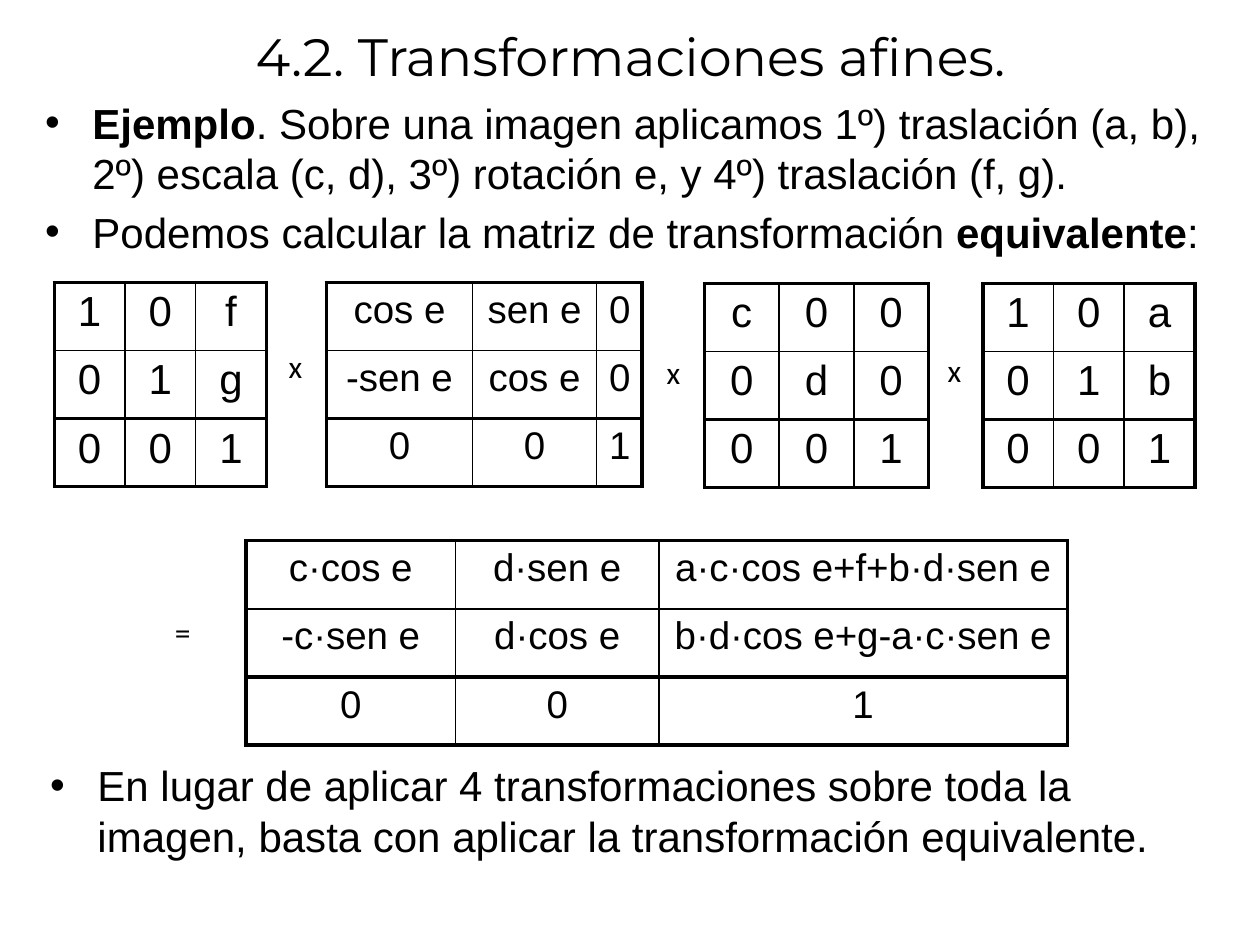
from lxml import etree
from pptx import Presentation
from pptx.dml.color import RGBColor
from pptx.enum.text import MSO_ANCHOR, PP_ALIGN
from pptx.oxml.ns import qn
from pptx.util import Pt

CENTER = PP_ALIGN.CENTER
MIDDLE = MSO_ANCHOR.MIDDLE
COLORS = {"ink": "000000"}
INDENT = 27
ROW_HEIGHT = 38.9
THICK, THIN = 2.25, 1

# left, top, column widths, text size, rows
MATRICES = [
    (31, 161.5, (40.4, 40.4, 40.4), 24, ["1 0 f", "0 1 g", "0 0 1"]),
    (186.5, 161.5, (83.6, 70.8, 26), 22,
     ["cos e|sen e|0", "-sen e|cos e|0", "0|0|1"]),
    (402.5, 162, (42.7, 42.7, 42.7), 24, ["c 0 0", "0 d 0", "0 0 1"]),
    (561.6, 162, (40.4, 40.4, 40.4), 24, ["1 0 a", "0 1 b", "0 0 1"]),
    (140.5, 309, (119.8, 116.2, 233.5), 22,
     ["c·cos e|d·sen e|a·c·cos e+f+b·d·sen e",
      "-c·sen e|d·cos e|b·d·cos e+g-a·c·sen e", "0|0|1"]),
]
OPERATORS = [
    ("x", (152.6, 195, 32.4, 36)),
    ("x", (368.6, 198, 32.4, 36)),
    ("x", (529.2, 197.3, 32.4, 36)),
    ("=", (79.2, 347, 50.4, 36)),
]
STEPS = [
    [("Ejemplo", True),
     (". Sobre una imagen aplicamos 1º) traslación (a, b), "
      "2º) escala (c, d), 3º) rotación e, y 4º) traslación (f, g).", False)],
    [("Podemos calcular la matriz de transformación ", False),
     ("equivalente", True), (":", False)],
]
CONCLUSION = [
    [("En lugar de aplicar 4 transformaciones sobre toda la imagen, "
      "basta con aplicar la transformación equivalente.", False)],
]


def style(font, size, name="Arial", bold=False):
    font.size = Pt(size)
    font.name = name
    font.bold = bold
    font.color.rgb = RGBColor.from_string(COLORS["ink"])


def add_frame(slide, box):
    frame = slide.shapes.add_textbox(*map(Pt, box)).text_frame
    frame.word_wrap = True
    return frame


def add_label(slide, box, text, size, font_name):
    """Place one centred line of text in the box."""
    frame = add_frame(slide, box)
    frame.text = text
    paragraph = frame.paragraphs[0]
    paragraph.alignment = CENTER
    style(paragraph.runs[0].font, size, font_name)
    return frame


def add_bullets(slide, box, items):
    frame = add_frame(slide, box)
    for index, pieces in enumerate(items):
        paragraph = frame.add_paragraph() if index else frame.paragraphs[0]
        if index:
            paragraph.space_before = Pt(4.8)
        properties = paragraph._p.get_or_add_pPr()
        properties.set("marL", str(Pt(INDENT)))
        properties.set("indent", str(Pt(-INDENT)))
        etree.SubElement(properties, qn("a:buFont"), typeface="Arial")
        etree.SubElement(properties, qn("a:buChar"), char="•")
        for text, bold in pieces:
            run = paragraph.add_run()
            run.text = text
            style(run.font, 24, bold=bold)


def set_borders(cell, widths):
    """Draw left, right, top and bottom borders with the given widths."""
    properties = cell._tc.get_or_add_tcPr()
    for index, (side, width) in enumerate(zip("LRTB", widths)):
        line = etree.Element(qn(f"a:ln{side}"), w=str(Pt(width)))
        fill = etree.SubElement(line, qn("a:solidFill"))
        etree.SubElement(fill, qn("a:srgbClr"), val=COLORS["ink"])
        properties.insert(index, line)


def add_matrix(slide, left, top, column_widths, size, rows):
    table = slide.shapes.add_table(
        len(rows), len(column_widths), Pt(left), Pt(top),
        Pt(sum(column_widths)), Pt(ROW_HEIGHT * len(rows))).table
    table.first_row = table.horz_banding = False
    column_lines = [THICK, THIN, THIN, THICK]
    row_lines = [THICK, THIN, THICK, THICK]
    for column, width in zip(table.columns, column_widths):
        column.width = Pt(width)
    for r, row in enumerate(rows):
        table.rows[r].height = Pt(ROW_HEIGHT)
        entries = row.split("|") if "|" in row else row.split()
        for c, entry in enumerate(entries):
            cell = table.cell(r, c)
            cell.fill.background()
            cell.text_frame.text = entry
            paragraph = cell.text_frame.paragraphs[0]
            paragraph.alignment = CENTER
            style(paragraph.runs[0].font, size)
            set_borders(cell, column_lines[c:c + 2] + row_lines[r:r + 2])


def main():
    presentation = Presentation()
    presentation.slide_width = Pt(720)
    presentation.slide_height = Pt(540)
    slide = presentation.slides.add_slide(presentation.slide_layouts[6])

    title = add_label(slide, (14.4, 0, 692, 64),
                      "4.2. Transformaciones afines.", 30, "Montserrat")
    title.vertical_anchor = MIDDLE
    add_bullets(slide, (18.7, 52, 682.6, 100), STEPS)
    for matrix in MATRICES:
        add_matrix(slide, *matrix)
    for symbol, box in OPERATORS:
        add_label(slide, box, symbol, 18, "Calibri")
    add_bullets(slide, (21.6, 430.6, 682.6, 67), CONCLUSION)

    presentation.save("out.pptx")


if __name__ == "__main__":
    main()
